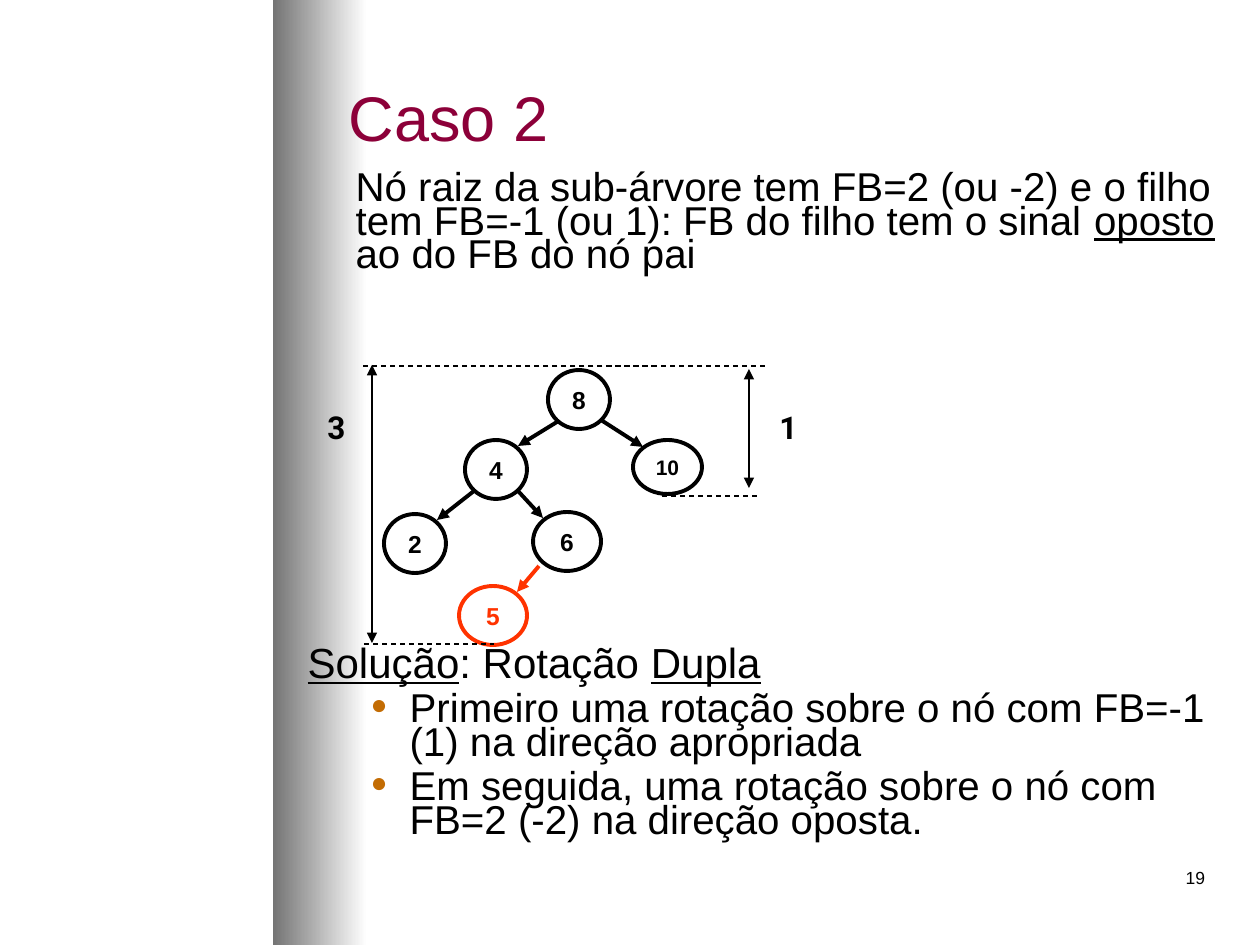
from lxml import etree
from pptx import Presentation
from pptx.dml.color import RGBColor
from pptx.enum.dml import MSO_LINE
from pptx.enum.shapes import MSO_CONNECTOR, MSO_SHAPE
from pptx.enum.text import MSO_ANCHOR, MSO_AUTO_SIZE, PP_ALIGN
from pptx.oxml.ns import qn
from pptx.util import Pt

BLACK = RGBColor(0x00, 0x00, 0x00)
WHITE = RGBColor(0xFF, 0xFF, 0xFF)
GRAY = RGBColor(0x74, 0x74, 0x74)
WINE = RGBColor(0x8C, 0x00, 0x39)
RED = RGBColor(0xFF, 0x33, 0x00)
BULLET = "C36C03"
DASH = MSO_LINE.DASH
LEFT, CENTER, RIGHT = PP_ALIGN.LEFT, PP_ALIGN.CENTER, PP_ALIGN.RIGHT
MIDDLE = MSO_ANCHOR.MIDDLE
EMU = 914400 / 126  # one px


def px(*lengths):
    return [round(length * EMU) for length in lengths]


def add_span(para, text, size, color=BLACK, font="Arial", bold=False, underline=False):
    span = para.add_run()
    span.text = text
    span.font.size = Pt(size)
    span.font.name = font
    span.font.bold = bold
    span.font.underline = underline
    span.font.color.rgb = color


deck = Presentation()
deck.slide_width, deck.slide_height = px(1260, 945)
page = deck.slides.add_slide(deck.slide_layouts[1])
shapes = page.shapes
title, body = page.placeholders

# Gradient band at the left, behind everything
band = shapes.add_shape(MSO_SHAPE.RECTANGLE, *px(273, 0, 94, 945))
band.shadow.inherit = False
band.line.fill.background()
band.fill.gradient()
band.fill.gradient_angle = 0
for stop, color in zip(band.fill.gradient_stops, (GRAY, WHITE)):
    stop.color.rgb = color
title._element.addprevious(band._element)

# Title
title.left, title.top, title.width, title.height = px(336, 32, 882, 168)
title.text_frame.vertical_anchor = MIDDLE
title.text_frame.auto_size = MSO_AUTO_SIZE.NONE
para = title.text_frame.paragraphs[0]
para.alignment = LEFT
add_span(para, "Caso 2", 36, WINE)

# Body: left margin, first-line indent, space before, size, bulleted, (text, underlined) runs
body.left, body.top, body.width, body.height = px(295, 168, 965, 740)
body.text_frame.auto_size = MSO_AUTO_SIZE.NONE
paragraphs = [
    (48, 0, 5.8, 23, False, [
        ("Nó raiz da sub-árvore tem FB=2 (ou -2) e o filho tem FB=-1 (ou 1): "
         "FB do filho tem o sinal ", False),
        ("oposto", True), (" ao do FB do nó pai", False)]),
    (0, 0, 214, 24, False, [
        ("Solução", True), (": Rotação ", False), ("Dupla", True)]),
    (102, -39, 5.8, 23, True, [
        ("Primeiro uma rotação sobre o nó com FB=-1 (1) na direção apropriada", False)]),
    (102, -39, 5.8, 23, True, [
        ("Em seguida, uma rotação sobre o nó com FB=2 (-2) na direção oposta.", False)]),
]
for index, (margin, indent, before, size, bulleted, spans) in enumerate(paragraphs):
    para = body.text_frame.add_paragraph() if index else body.text_frame.paragraphs[0]
    para.level = int(bulleted)
    para.alignment = LEFT
    para.line_spacing = 0.7
    para.space_before = Pt(before)
    props = para._p.get_or_add_pPr()
    for name, length in zip(("marL", "indent"), px(margin, indent)):
        props.set(name, str(length))
    if bulleted:
        bullet_color = etree.SubElement(props, qn("a:buClr"))
        etree.SubElement(bullet_color, qn("a:srgbClr"), val=BULLET)
        etree.SubElement(props, qn("a:buSzPct"), val="70000")
        etree.SubElement(props, qn("a:buFont"), typeface="Arial")
        etree.SubElement(props, qn("a:buChar"), char="●")
    else:
        etree.SubElement(props, qn("a:buNone"))
    for text, underline in spans:
        add_span(para, text, size, underline=underline)

# Tree nodes
nodes = [
    ("8", 548, 370, 62, 59, 14, BLACK),
    ("4", 465, 440, 62, 59, 14, BLACK),
    ("2", 384, 514, 62, 59, 14, BLACK),
    ("6", 533, 512, 68, 59, 14, BLACK),
    ("10", 633, 440, 69, 54, 12, BLACK),
    ("5", 459, 586, 68, 59, 14, RED),
]
for key, left, top, width, height, size, color in nodes:
    node = shapes.add_shape(MSO_SHAPE.OVAL, *px(left, top, width, height))
    node.shadow.inherit = False
    node.fill.solid()
    node.fill.fore_color.rgb = WHITE
    node.line.color.rgb = color
    node.line.width = Pt(2.25)
    frame = node.text_frame
    frame.margin_left = frame.margin_right = frame.margin_top = frame.margin_bottom = 0
    frame.vertical_anchor = MIDDLE
    para = frame.paragraphs[0]
    para.alignment = CENTER
    add_span(para, key, size, color, bold=True)

# Tree edges, height guides and height arrows: ends, colour, width, dash, arrowheads
lines = [
    (557, 422, 518, 446, BLACK, 2.25, None, ["tailEnd"]),
    (474, 491, 437, 520, BLACK, 2.25, None, ["tailEnd"]),
    (518, 491, 543, 518, BLACK, 2.25, None, ["tailEnd"]),
    (601, 420, 643, 447, BLACK, 2.25, None, ["tailEnd"]),
    (539, 566, 517, 592, RED, 2.25, None, ["tailEnd"]),
    (662, 496, 760, 496, BLACK, 0.75, DASH, []),
    (765, 366, 363, 366, BLACK, 0.75, DASH, []),
    (364, 644, 494, 644, BLACK, 0.75, DASH, []),
    (749, 369, 749, 488, BLACK, 0.75, None, ["headEnd", "tailEnd"]),
    (372, 365, 372, 643, BLACK, 0.75, None, ["headEnd", "tailEnd"]),
]
for x1, y1, x2, y2, color, width, dash, arrowheads in lines:
    line = shapes.add_connector(MSO_CONNECTOR.STRAIGHT, *px(x1, y1, x2, y2))
    line.line.color.rgb = color
    line.line.width = Pt(width)
    if dash:
        line.line.dash_style = dash
    for end in arrowheads:
        etree.SubElement(line.line._get_or_add_ln(), qn("a:" + end), type="triangle")
    etree.SubElement(line._element.spPr, qn("a:effectLst"))

# Height labels and page number
labels = [
    ("3", 312, 408, 49, 49, 0, CENTER, 18, "Roboto", True),
    ("1", 764, 408, 49, 49, 0, CENTER, 18, "Roboto", True),
    ("19", 955, 861, 262, 63, 6, RIGHT, 10, "Arial", False),
]
for text, left, top, width, height, inset, align, size, font, bold in labels:
    box = shapes.add_textbox(*px(left, top, width, height))
    frame = box.text_frame
    frame.word_wrap = True
    frame.margin_left, frame.margin_right = px(2 * inset, 2 * inset)
    frame.margin_top, frame.margin_bottom = px(inset, inset)
    para = frame.paragraphs[0]
    para.alignment = align
    add_span(para, text, size, font=font, bold=bold)

deck.save("out.pptx")
